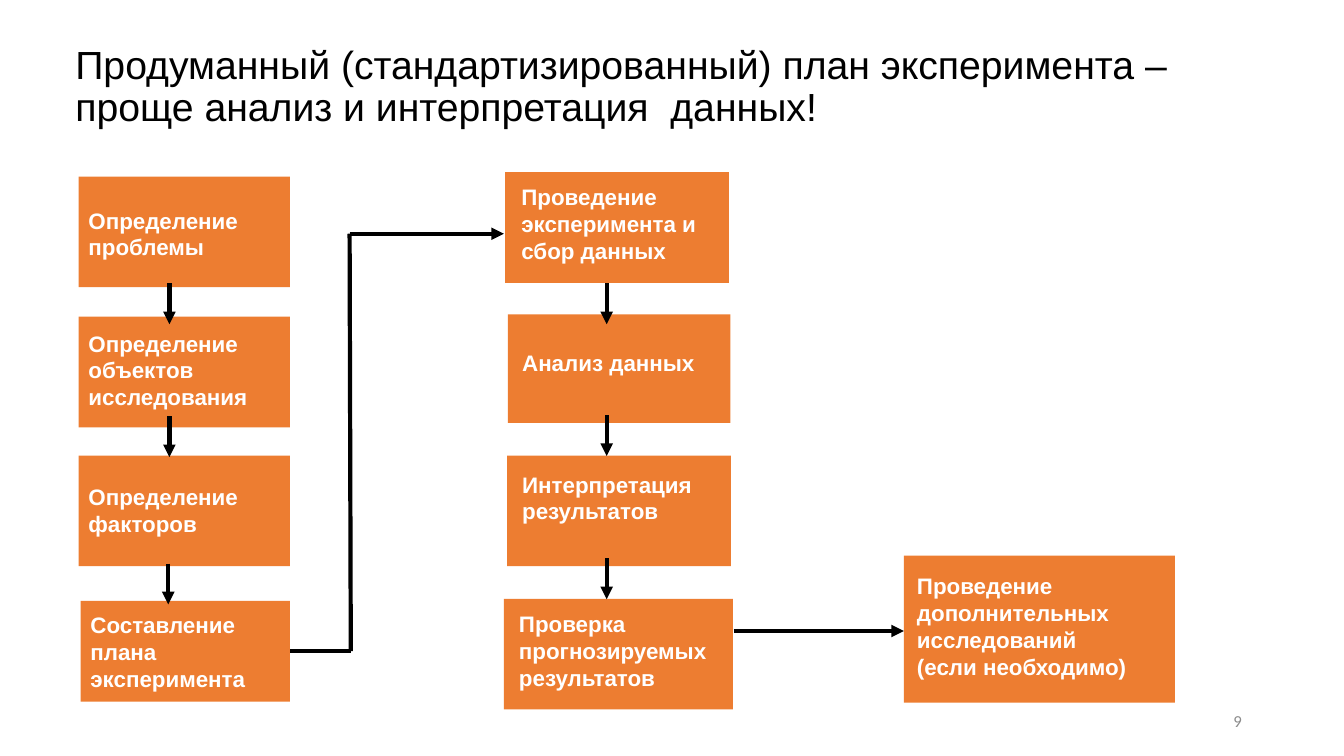
from lxml import etree
from pptx import Presentation
from pptx.dml.color import RGBColor
from pptx.enum.shapes import MSO_CONNECTOR, MSO_SHAPE
from pptx.enum.text import MSO_ANCHOR, PP_ALIGN
from pptx.oxml.ns import qn
from pptx.util import Cm, Pt

RECT = MSO_SHAPE.RECTANGLE
LINE = MSO_CONNECTOR.STRAIGHT
TOP, MID = MSO_ANCHOR.TOP, MSO_ANCHOR.MIDDLE
LEFT, RIGHT = PP_ALIGN.LEFT, PP_ALIGN.RIGHT
EAST = 3

THEME = {
    "box": "ED7D31", "ink": "000000", "light": "FFFFFF", "gray": "8C8C8C",
    "font": "Arial", "page_font": "Calibri",
    "title": 28, "body": 16, "page": 12, "line": 3,
}

TITLE = "Продуманный (стандартизированный) план эксперимента – проще анализ и интерпретация  данных!"
PAGE = "9"

# lines, (left, top, width, height), (left inset, top inset)
STEPS = [
    (["Определение", "проблемы"], (1.98, 4.45, 5.33, 2.79), (0.25, 0.76)),
    (["Определение", "объектов исследования"], (1.98, 7.98, 5.33, 2.79), (0.25, 0.33)),
    (["Определение", "факторов"], (1.98, 11.48, 5.33, 2.79), (0.25, 0.69)),
    (["Составление плана эксперимента"], (2.03, 15.14, 5.28, 2.54), (0.25, 0.26)),
    (["Проведение эксперимента и сбор данных"], (12.73, 4.34, 5.64, 2.79), (0.41, 0.28)),
    (["Анализ данных"], (12.8, 7.92, 5.61, 2.74), (0.36, 0.89)),
    (["Интерпретация результатов"], (12.78, 11.48, 5.64, 2.79), (0.38, 0.38)),
    (["Проверка прогнозируемых результатов"], (12.7, 15.09, 5.77, 2.79), (0.38, 0.28)),
    (["Проведение дополнительных исследований", "(если необходимо)"],
     (22.78, 14, 6.83, 3.71), (0.33, 0.43)),
]
PLAN = 3
DROP = 1.03
DOWN = [(4.27, 7.14), (4.27, 10.49), (4.24, 14.2),
        (15.29, 7.14), (15.29, 10.46), (15.29, 14.07)]
EXTRA = [(18.49, 15.9), (22.78, 15.9)]
ROUTE = [(7.31, 16.41), (8.84, 16.41), (8.81, 5.89), (12.7, 5.89)]

deck = Presentation()
deck.slide_width, deck.slide_height = Cm(33.87), Cm(19.05)
slide = deck.slides.add_slide(deck.slide_layouts[6])
shapes = slide.shapes


def write(shape, lines, size, color, font=THEME["font"], bold=False, align=LEFT,
          anchor=TOP, inset=(0.25, 0.13), right=0.25, space=None, before=0):
    frame = shape.text_frame
    frame.word_wrap = True
    frame.vertical_anchor = anchor
    frame.margin_left, frame.margin_top = map(Cm, inset)
    frame.margin_right, frame.margin_bottom = Cm(right), Cm(0.13)
    for i, line in enumerate(lines):
        para = frame.add_paragraph() if i else frame.paragraphs[0]
        para.alignment = align
        para.space_before = Pt(before)
        if space:
            para.line_spacing = space
        run = para.add_run()
        run.text = line
        run.font.name, run.font.size, run.font.bold = font, Pt(size), bold
        run.font.color.rgb = RGBColor.from_string(color)


def link(start, end, arrow=True):
    wire = shapes.add_connector(LINE, *map(Cm, start + end))
    wire.line.color.rgb = RGBColor.from_string(THEME["ink"])
    wire.line.width = Pt(THEME["line"])
    if arrow:
        etree.SubElement(wire.line._get_or_add_ln(), qn("a:tailEnd"), type="triangle")
    etree.SubElement(wire._element.spPr, qn("a:effectLst"))
    return wire


head = shapes.add_textbox(Cm(1.65), Cm(1.02), Cm(29.21), Cm(2.6))
write(head, [TITLE], THEME["title"], THEME["ink"], space=0.9, before=10)

boxes = []
for lines, place, inset in STEPS:
    box = shapes.add_shape(RECT, *map(Cm, place))
    box.shadow.inherit = False
    box.fill.solid()
    box.fill.fore_color.rgb = RGBColor.from_string(THEME["box"])
    box.line.fill.background()
    write(box, lines, THEME["body"], THEME["light"], bold=True, inset=inset, right=0)
    boxes.append(box)

for x, y in DOWN:
    link((x, y), (x, y + DROP))
link(*EXTRA)

legs = list(zip(ROUTE, ROUTE[1:]))
wires = [link(*leg, arrow=leg == legs[-1]) for leg in legs]
wires[0].begin_connect(boxes[PLAN], EAST)

foot = shapes.add_textbox(Cm(23.93), Cm(17.65), Cm(7.62), Cm(1.02))
write(foot, [PAGE], THEME["page"], THEME["gray"], font=THEME["page_font"],
      align=RIGHT, anchor=MID)

deck.save("out.pptx")
